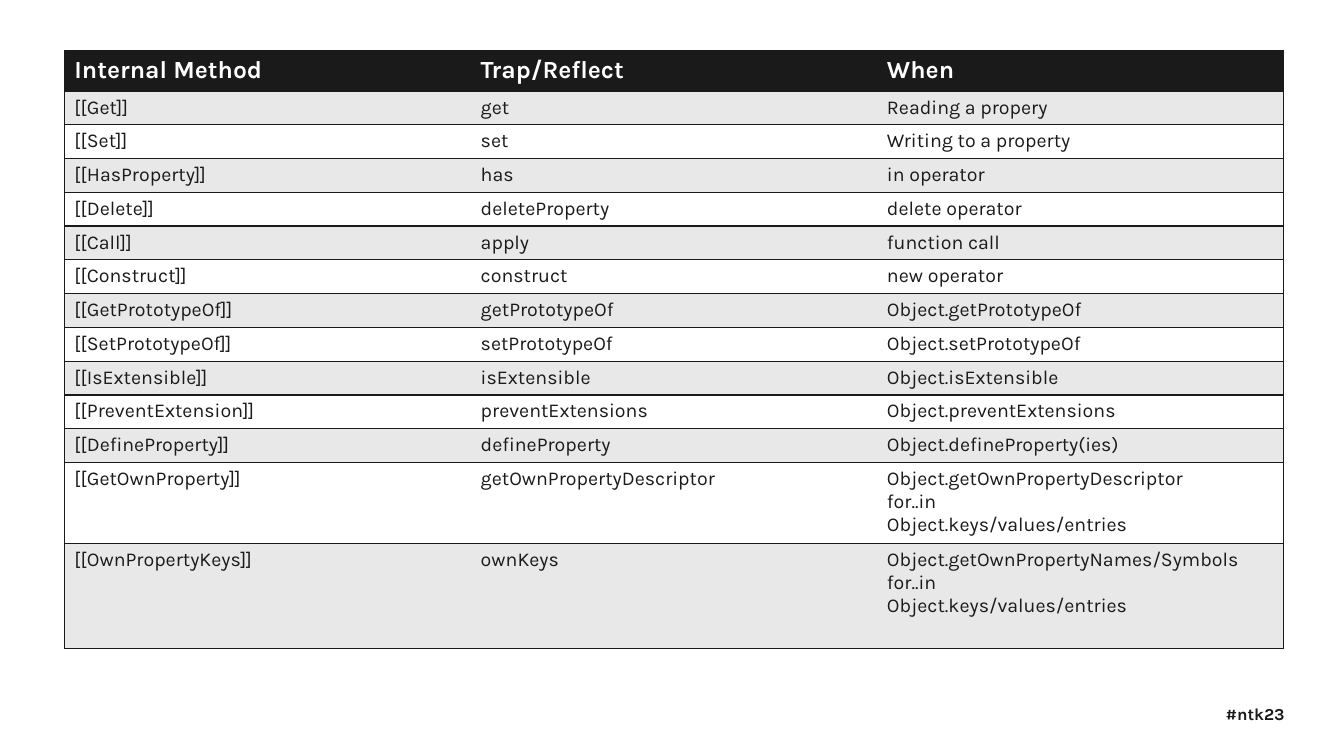
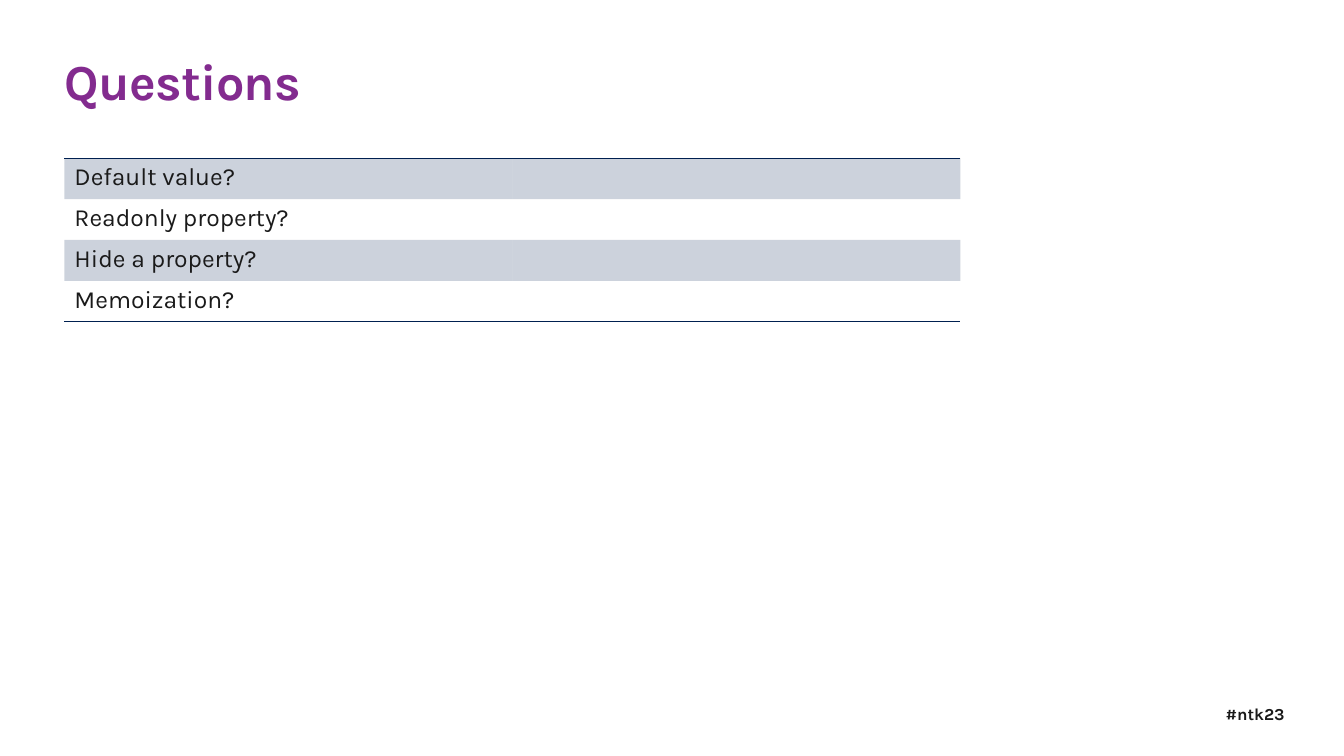
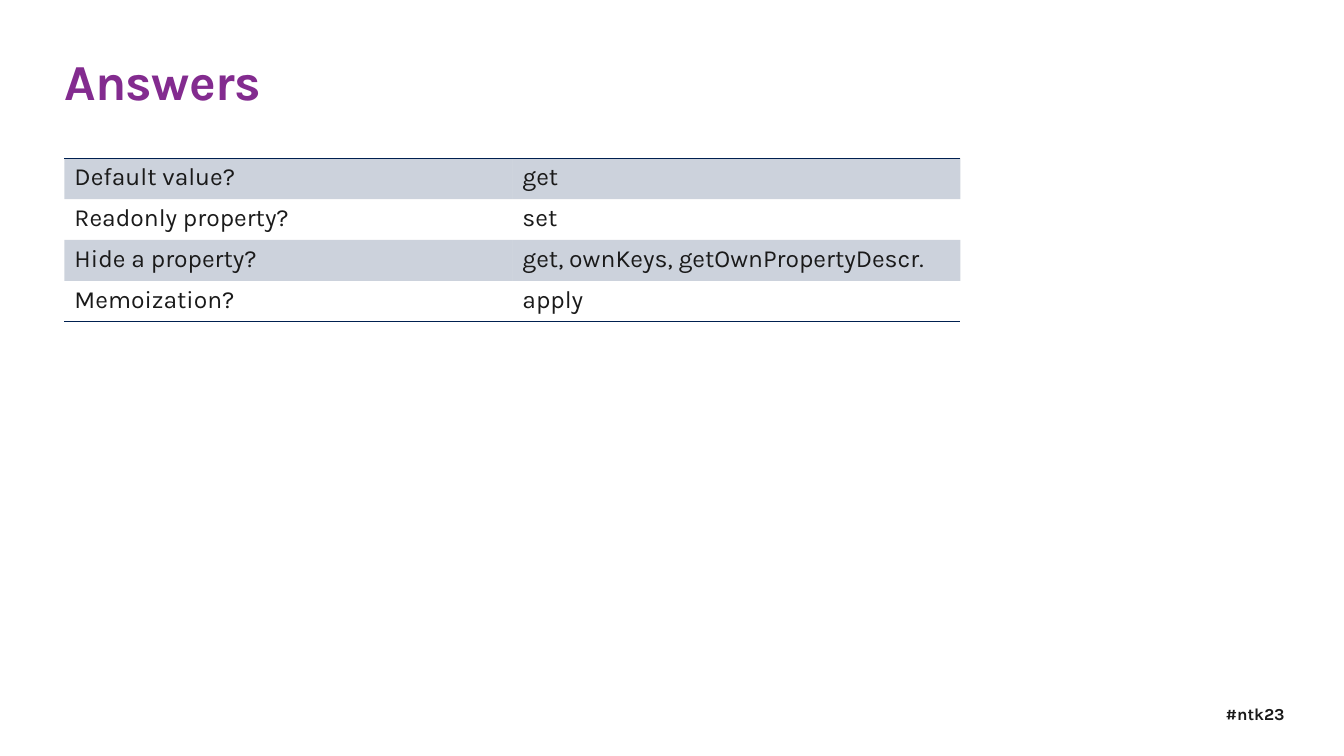
from copy import deepcopy

from lxml import etree
from pptx import Presentation
from pptx.dml.color import RGBColor
from pptx.enum import text as t
from pptx.oxml.ns import qn
from pptx.util import Pt

INK = RGBColor(0x1A, 0x1A, 0x1A)
WHITE = RGBColor(0xFF, 0xFF, 0xFF)
GREY = RGBColor(0xE8, 0xE8, 0xE8)
PURPLE = RGBColor(0x83, 0x2B, 0x8F)
NAVY = RGBColor(0x00, 0x20, 0x50)
FONT = "Karla"
LEFT = 46
TOP = 36
NO_TABLE_STYLE = "{2D5ABB26-0587-4C30-8999-92F81FD0307C}"
TITLE_ONLY, BLANK = 5, 6

METHODS = [
    ("Internal Method", "Trap/Reflect", "When"),
    ("[[Get]]", "get", "Reading a propery"),
    ("[[Set]]", "set", "Writing to a property"),
    ("[[HasProperty]]", "has", "in operator"),
    ("[[Delete]]", "deleteProperty", "delete operator"),
    ("[[Call]]", "apply", "function call"),
    ("[[Construct]]", "construct", "new operator"),
    ("[[GetPrototypeOf]]", "getPrototypeOf", "Object.getPrototypeOf"),
    ("[[SetPrototypeOf]]", "setPrototypeOf", "Object.setPrototypeOf"),
    ("[[IsExtensible]]", "isExtensible", "Object.isExtensible"),
    ("[[PreventExtension]]", "preventExtensions", "Object.preventExtensions"),
    ("[[DefineProperty]]", "defineProperty", "Object.defineProperty(ies)"),
    ("[[GetOwnProperty]]", "getOwnPropertyDescriptor",
     "Object.getOwnPropertyDescriptor\nfor..in\nObject.keys/values/entries"),
    ("[[OwnPropertyKeys]]", "ownKeys",
     "Object.getOwnPropertyNames/Symbols\nfor..in\nObject.keys/values/entries"),
]
METHOD_HEIGHTS = [29] + [24.14] * 11 + [57.9, 75]

QUIZ = [
    ("Default value?", "get"),
    ("Readonly property?", "set"),
    ("Hide a property?", "get, ownKeys, getOwnPropertyDescr."),
    ("Memoization?", "apply"),
]


def write(frame, content, size=17.6, color=INK, bold=False, spacing=None):
    """Fill a text frame with one paragraph; newlines become line breaks."""
    paragraph = frame.paragraphs[0]
    paragraph.text = content
    paragraph.alignment = t.PP_ALIGN.LEFT
    for run in paragraph.runs:
        run.font.name = FONT
        run.font.size = Pt(size)
        run.font.bold = bold
        run.font.color.rgb = color
        if spacing is not None:
            run.font._element.set("spc", str(round(spacing * 100)))
    for line_break in paragraph._p.findall(qn("a:br")):
        line_break.append(deepcopy(paragraph.runs[0].font._element))


def set_borders(cell, sides, color):
    """Draw one-point borders on the sides named by L, R, T and B."""
    properties = cell._tc.get_or_add_tcPr()
    for side in "LRTB":
        if side in sides:
            line = etree.SubElement(properties, qn(f"a:ln{side}"), w=str(Pt(1)))
            fill = etree.SubElement(line, qn("a:solidFill"))
            etree.SubElement(fill, qn("a:srgbClr"), val=str(color))


def set_fill(cell, color, opacity=100):
    if color is None:
        cell.fill.background()
        return
    cell.fill.solid()
    cell.fill.fore_color.rgb = color
    if opacity < 100:
        fill = cell._tc.tcPr.find(qn("a:solidFill"))
        etree.SubElement(fill[0], qn("a:alpha"), val=str(opacity * 1000))


def outer_sides(row, column, last_row, last_column):
    """Name the table edges that a cell touches."""
    return (("L" if column == 0 else "") + ("R" if column == last_column else "")
            + ("T" if row == 0 else "") + ("B" if row == last_row else ""))


class Deck:
    """Holds the shared style and the slide being built."""

    def __init__(self):
        self.presentation = Presentation()
        self.presentation.slide_width = Pt(960)
        self.presentation.slide_height = Pt(540)
        self.slide = None

    def add_slide(self, title=None):
        layout = self.presentation.slide_layouts[TITLE_ONLY if title else BLANK]
        self.slide = self.presentation.slides.add_slide(layout)
        self.slide.background.fill.solid()
        self.slide.background.fill.fore_color.rgb = WHITE
        if title:
            self.place(self.slide.shapes.title, LEFT, TOP, 868, 44)
            write(self.slide.shapes.title.text_frame, title,
                  size=36, color=PURPLE, bold=True, spacing=-0.5)
        self.add_hashtag()

    def place(self, shape, left, top, width, height):
        """Position a text shape and remove its insets."""
        shape.left, shape.top = Pt(left), Pt(top)
        shape.width, shape.height = Pt(width), Pt(height)
        frame = shape.text_frame
        frame.margin_left = frame.margin_right = 0
        frame.margin_top = frame.margin_bottom = 0
        frame.vertical_anchor = t.MSO_ANCHOR.TOP
        frame.auto_size = t.MSO_AUTO_SIZE.NONE
        frame.word_wrap = True

    def add_hashtag(self):
        box = self.slide.shapes.add_textbox(0, 0, 0, 0)
        self.place(box, 875.5, 502.5, 76, 14.4)
        write(box.text_frame, "#ntk23", size=12, bold=True)

    def add_table(self, rows, top, column_width, heights):
        """Add an unstyled table and return it."""
        columns = len(rows[0])
        table = self.slide.shapes.add_table(
            len(rows), columns, Pt(LEFT), Pt(top),
            Pt(column_width * columns), Pt(sum(heights))).table
        table.first_row = table.horz_banding = False
        table._tbl.tblPr.find(qn("a:tableStyleId")).text = NO_TABLE_STYLE
        for column in table.columns:
            column.width = Pt(column_width)
        for row, height in zip(table.rows, heights):
            row.height = Pt(height)
        return table

    def add_method_table(self):
        table = self.add_table(METHODS, TOP, 290.2, METHOD_HEIGHTS)
        for r, row in enumerate(METHODS):
            for c, content in enumerate(row):
                cell = table.cell(r, c)
                sides = outer_sides(r, c, len(METHODS) - 1, len(row) - 1)
                set_borders(cell, sides + "TB", INK)
                if r == 0:
                    set_fill(cell, INK)
                    write(cell.text_frame, content, color=WHITE, bold=True)
                else:
                    set_fill(cell, GREY if r % 2 else WHITE)
                    write(cell.text_frame, content, size=14)

    def add_quiz_table(self, show_answers):
        table = self.add_table(QUIZ, 113, 320, [29.2] * len(QUIZ))
        for r, (question, answer) in enumerate(QUIZ):
            for c, content in enumerate((question, answer if show_answers else "")):
                cell = table.cell(r, c)
                sides = outer_sides(r, c, len(QUIZ) - 1, 1)
                set_borders(cell, sides.strip("LR"), NAVY)
                set_fill(cell, None if r % 2 else NAVY, opacity=20)
                if content:
                    write(cell.text_frame, content)


def main():
    deck = Deck()
    deck.add_slide()
    deck.add_method_table()
    for title, show_answers in (("Questions", False), ("Answers", True)):
        deck.add_slide(title)
        deck.add_quiz_table(show_answers)
    deck.presentation.save("out.pptx")


if __name__ == "__main__":
    main()
